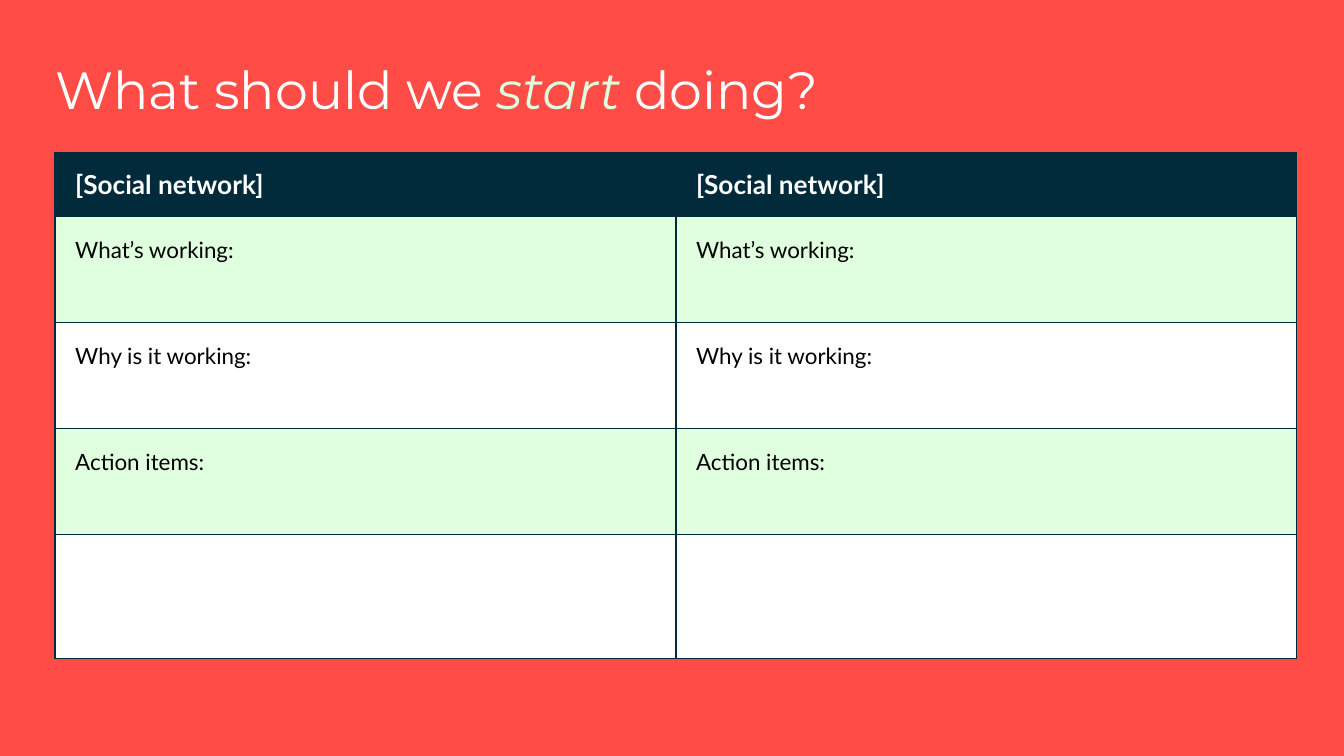
from dataclasses import dataclass

from lxml.etree import SubElement
from pptx import Presentation
from pptx.dml.color import RGBColor as RGB
from pptx.enum.text import MSO_ANCHOR as ANCHOR, MSO_AUTO_SIZE as AUTO_SIZE, PP_ALIGN as ALIGN
from pptx.oxml.ns import qn
from pptx.util import Pt


@dataclass(frozen=True)
class Theme:
    coral: RGB = RGB(0xFF, 0x4C, 0x46)
    navy: RGB = RGB(0x01, 0x2B, 0x3A)
    mint: RGB = RGB(0xDF, 0xFF, 0xDE)
    white: RGB = RGB(0xFF, 0xFF, 0xFF)
    black: RGB = RGB(0, 0, 0)
    title_font: str = "Montserrat"
    body_font: str = "Lato"
    title_size: int = 28
    header_size: int = 14
    body_size: int = 12
    border: float = 0.75


class SlideBuilder:
    def __init__(self, slide, theme):
        self.slide = slide
        self.theme = theme

    def background(self, color):
        fill = self.slide.background.fill
        fill.solid()
        fill.fore_color.rgb = color

    def style_run(self, run, font, size, color, bold=False, italic=False):
        run.font.name = font
        run.font.size = Pt(size)
        run.font.color.rgb = color
        run.font.bold = bold
        run.font.italic = italic

    def title(self, parts, left, top, width, height):
        """Parts are (words, emphasised) pairs."""
        heading = self.slide.shapes.title
        heading.left, heading.top = Pt(left), Pt(top)
        heading.width, heading.height = Pt(width), Pt(height)
        frame = heading.text_frame
        frame.word_wrap = True
        frame.auto_size = AUTO_SIZE.NONE
        frame.vertical_anchor = ANCHOR.MIDDLE
        frame.margin_left = Pt(4.5)
        frame.margin_right = frame.margin_top = frame.margin_bottom = Pt(7.2)
        line = frame.paragraphs[0]
        line.alignment = ALIGN.LEFT
        line.line_spacing = 0.9
        t = self.theme
        for words, emphasised in parts:
            run = line.add_run()
            run.text = words
            self.style_run(run, t.title_font, t.title_size,
                           t.mint if emphasised else t.white, italic=emphasised)

    def cell_borders(self, cell):
        properties = cell._tc.get_or_add_tcPr()
        for side in ("a:lnL", "a:lnR", "a:lnT", "a:lnB"):
            edge = SubElement(properties, qn(side), w=str(Pt(self.theme.border)))
            solid = SubElement(edge, qn("a:solidFill"))
            SubElement(solid, qn("a:srgbClr"), val=str(self.theme.navy))

    def cell(self, cell, words, fill, is_header):
        t = self.theme
        self.cell_borders(cell)
        cell.fill.solid()
        cell.fill.fore_color.rgb = fill
        cell.margin_left = cell.margin_right = Pt(10.8)
        cell.margin_top = Pt(7.2 if is_header else 10.8)
        cell.margin_bottom = Pt(7.2)
        cell.vertical_anchor = ANCHOR.MIDDLE if is_header else ANCHOR.TOP
        cell.text_frame.text = words
        for run in cell.text_frame.paragraphs[0].runs:
            if is_header:
                self.style_run(run, t.body_font, t.header_size, t.white, bold=True)
            else:
                self.style_run(run, t.body_font, t.body_size, t.black)

    def table(self, rows, columns, left, top, column_width):
        """Rows are (words, height) pairs; every column repeats the words."""
        t = self.theme
        grid = self.slide.shapes.add_table(
            len(rows), columns, Pt(left), Pt(top), Pt(column_width * columns),
            Pt(sum(height for _, height in rows))).table
        grid.horz_banding = False
        for column in grid.columns:
            column.width = Pt(column_width)
        for index, (words, height) in enumerate(rows):
            grid.rows[index].height = Pt(height)
            # Navy header, then alternating mint and white
            fill = t.navy if index == 0 else (t.white, t.mint)[index % 2]
            for cell in grid.rows[index].cells:
                self.cell(cell, words, fill, is_header=index == 0)


def main():
    deck = Presentation()
    deck.slide_width, deck.slide_height = Pt(720), Pt(405)
    theme = Theme()
    title_only = deck.slide_layouts[5]
    builder = SlideBuilder(deck.slides.add_slide(title_only), theme)
    builder.background(theme.coral)

    # Question
    builder.title([("What should we ", False), ("start", True), (" doing?", False)],
                  left=25.2, top=28.1, width=601.2, height=42.5)

    # One column per social network
    review_rows = [
        ("[Social network]", 34.3),
        ("What’s working:", 56.8),
        ("Why is it working:", 56.8),
        ("Action items:", 56.8),
        ("", 66.4),
    ]
    builder.table(review_rows, columns=2, left=29.5, top=81.6, column_width=332.6)

    deck.save("out.pptx")


if __name__ == "__main__":
    main()
